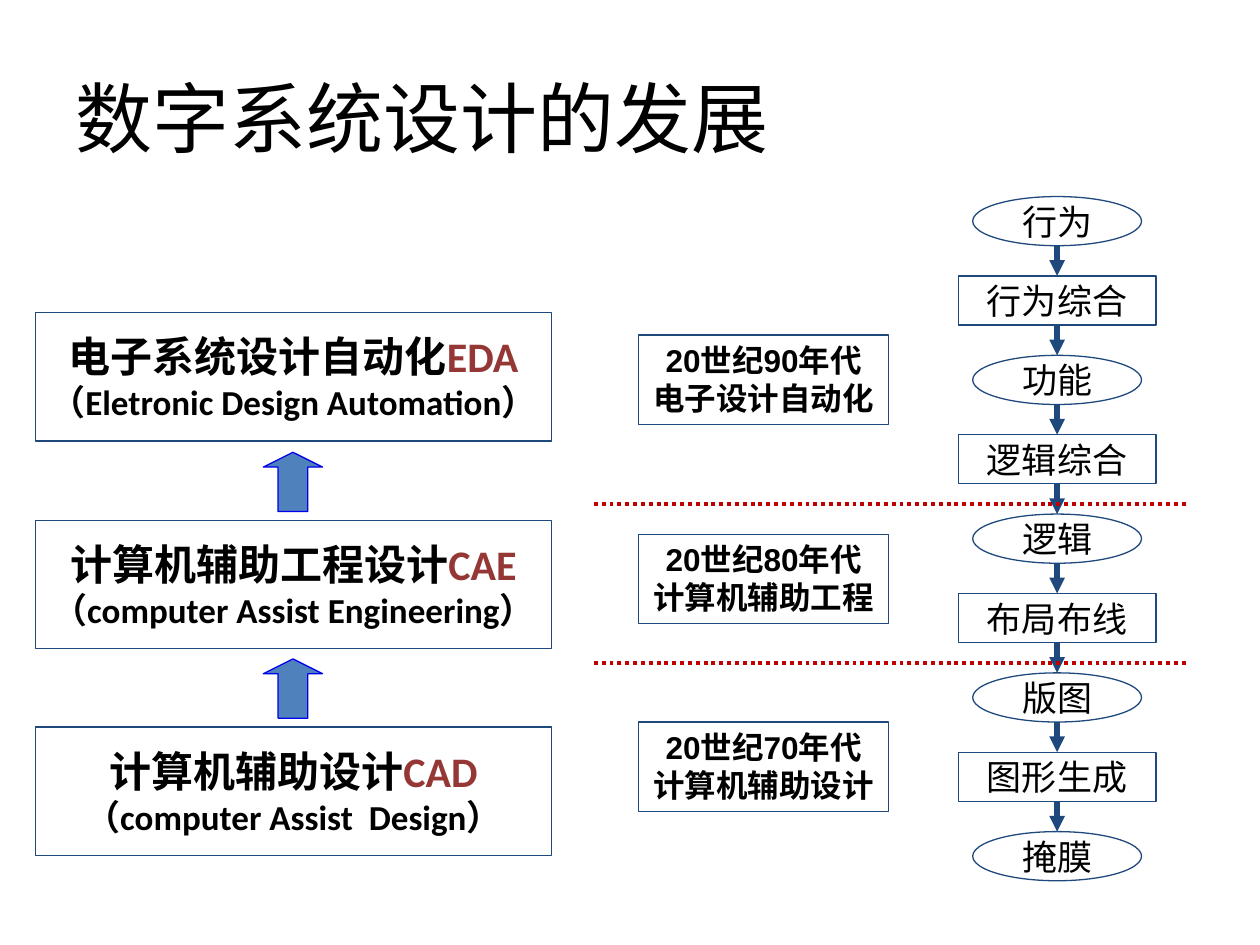
from dataclasses import dataclass

from pptx import Presentation
from pptx.dml import color
from pptx.enum import dml, shapes, text
from pptx.oxml import ns
from pptx.util import Inches, Pt
from lxml import etree


@dataclass(frozen=True)
class Theme:
    ink: color.RGBColor = color.RGBColor(0x00, 0x00, 0x00)
    outline: color.RGBColor = color.RGBColor(0x1F, 0x49, 0x7D)
    accent: color.RGBColor = color.RGBColor(0x95, 0x37, 0x35)
    divider: color.RGBColor = color.RGBColor(0xC0, 0x00, 0x00)
    block_arrow: color.RGBColor = color.RGBColor(0x4F, 0x81, 0xBD)
    block_arrow_line: color.RGBColor = color.RGBColor(0x00, 0x00, 0xEC)
    body_font: str = "Calibri"
    era_font: str = "Arial"
    title_size: int = 44
    stage_size: int = 24
    flow_size: int = 20
    era_size: int = 18
    thin: float = 0.75
    dotted: float = 2.25
    thick: float = 3


@dataclass(frozen=True)
class Stage:
    top: float
    name: str
    short: str
    english: str


@dataclass(frozen=True)
class Era:
    top: float
    decade: str
    method: str


THEME = Theme()
STAGES = [
    Stage(2.48, "电子系统设计自动化", "EDA", "（Eletronic Design Automation）"),
    Stage(4.13, "计算机辅助工程设计", "CAE", "（computer Assist Engineering）"),
    Stage(5.77, "计算机辅助设计", "CAD", "（computer Assist  Design）"),
]
ERAS = [
    Era(2.66, "20世纪90年代", "电子设计自动化"),
    Era(4.24, "20世纪80年代", "计算机辅助工程"),
    Era(5.73, "20世纪70年代", "计算机辅助设计"),
]
FLOW = ["行为", "行为综合", "功能", "逻辑综合", "逻辑", "布局布线", "版图", "图形生成", "掩膜"]
FLOW_TOP, FLOW_PITCH, FLOW_HEIGHT, FLOW_CENTER = 1.56, 0.63, 0.39, 8.39
BLOCK_ARROW_TOPS = [3.59, 5.23]
DIVIDER_LEVELS = [4, 5.26]


def add_outlined(slide, kind, left: float, top: float, width: float, height: float):
    box = slide.shapes.add_shape(
        kind, Inches(left), Inches(top), Inches(width), Inches(height))
    box.shadow.inherit = False
    box.fill.background()
    box.line.color.rgb = THEME.outline
    box.line.width = Pt(THEME.thin)
    box.text_frame.word_wrap = False
    box.text_frame.vertical_anchor = text.MSO_ANCHOR.MIDDLE
    return box


def write(para, words: str, size: int, font: str = THEME.body_font,
          bold: bool = False, align=text.PP_ALIGN.CENTER) -> None:
    span = para.add_run()
    span.text = words
    para.alignment = align
    para.font.size = Pt(size)
    para.font.name = font
    para.font.bold = bold
    para.font.color.rgb = THEME.ink
    span.font.color.rgb = THEME.ink


def add_line(slide, start: tuple[float, float], end: tuple[float, float],
             rgb: color.RGBColor, width: float):
    line = slide.shapes.add_connector(
        shapes.MSO_CONNECTOR.STRAIGHT, *map(Inches, start + end))
    line.line.color.rgb = rgb
    line.line.width = Pt(width)
    etree.SubElement(line._element.spPr, ns.qn("a:effectLst"))
    return line


def add_stage(slide, stage: Stage) -> None:
    box = add_outlined(slide, shapes.MSO_SHAPE.RECTANGLE, 0.28, stage.top, 4.1, 1.02)
    heading = box.text_frame.paragraphs[0]
    write(heading, stage.name, THEME.stage_size, bold=True)
    short = heading.add_run()
    short.text = stage.short
    short.font.color.rgb = THEME.accent
    write(box.text_frame.add_paragraph(), stage.english, THEME.flow_size, bold=True)


def add_block_arrow(slide, top: float) -> None:
    arrow = slide.shapes.add_shape(
        shapes.MSO_SHAPE.UP_ARROW, Inches(2.09), Inches(top), Inches(0.47), Inches(0.47))
    arrow.shadow.inherit = False
    arrow.adjustments[1] = 0.25
    arrow.fill.solid()
    arrow.fill.fore_color.rgb = THEME.block_arrow
    arrow.line.color.rgb = THEME.block_arrow_line
    arrow.line.width = Pt(THEME.thin)


def add_era(slide, era: Era) -> None:
    box = add_outlined(slide, shapes.MSO_SHAPE.RECTANGLE, 5.07, era.top, 1.98, 0.71)
    frame = box.text_frame
    frame.vertical_anchor = text.MSO_ANCHOR.TOP
    frame.auto_size = text.MSO_AUTO_SIZE.SHAPE_TO_FIT_TEXT
    write(frame.paragraphs[0], era.decade, THEME.era_size, THEME.era_font, True)
    write(frame.add_paragraph(), era.method, THEME.era_size, THEME.era_font, True)


def add_flow_step(slide, index: int, name: str) -> None:
    is_state = index % 2 == 0
    kind = shapes.MSO_SHAPE.OVAL if is_state else shapes.MSO_SHAPE.RECTANGLE
    width = 1.34 if is_state else 1.57
    top = FLOW_TOP + index * FLOW_PITCH
    box = add_outlined(slide, kind, FLOW_CENTER - width / 2, top, width, FLOW_HEIGHT)
    write(box.text_frame.paragraphs[0], name, THEME.flow_size)


def add_flow_arrow(slide, index: int) -> None:
    top = FLOW_TOP + index * FLOW_PITCH
    arrow = add_line(slide, (FLOW_CENTER, top + FLOW_HEIGHT),
                     (FLOW_CENTER, top + FLOW_PITCH), THEME.outline, THEME.thick)
    outline = arrow._element.spPr.find(ns.qn("a:ln"))
    etree.SubElement(outline, ns.qn("a:tailEnd"), type="triangle")


def add_divider(slide, level: float) -> None:
    divider = add_line(slide, (9.41, level), (4.69, level), THEME.divider, THEME.dotted)
    divider.line.dash_style = dml.MSO_LINE.ROUND_DOT


def add_title(slide, words: str) -> None:
    box = slide.shapes.add_textbox(Inches(0.5), Inches(0.3), Inches(9), Inches(1.25))
    box.text_frame.word_wrap = True
    box.text_frame.vertical_anchor = text.MSO_ANCHOR.MIDDLE
    write(box.text_frame.paragraphs[0], words, THEME.title_size,
          align=text.PP_ALIGN.LEFT)


def main() -> None:
    deck = Presentation()
    deck.slide_width, deck.slide_height = Inches(10), Inches(7.5)
    page = deck.slides.add_slide(deck.slide_layouts[6])
    for stage in STAGES:
        add_stage(page, stage)
    for top in BLOCK_ARROW_TOPS:
        add_block_arrow(page, top)
    for index, name in enumerate(FLOW):
        add_flow_step(page, index, name)
    for index in range(len(FLOW) - 1):
        add_flow_arrow(page, index)
    for level in DIVIDER_LEVELS:
        add_divider(page, level)
    for era in ERAS:
        add_era(page, era)
    add_title(page, "数字系统设计的发展")
    deck.save("out.pptx")


if __name__ == "__main__":
    main()
